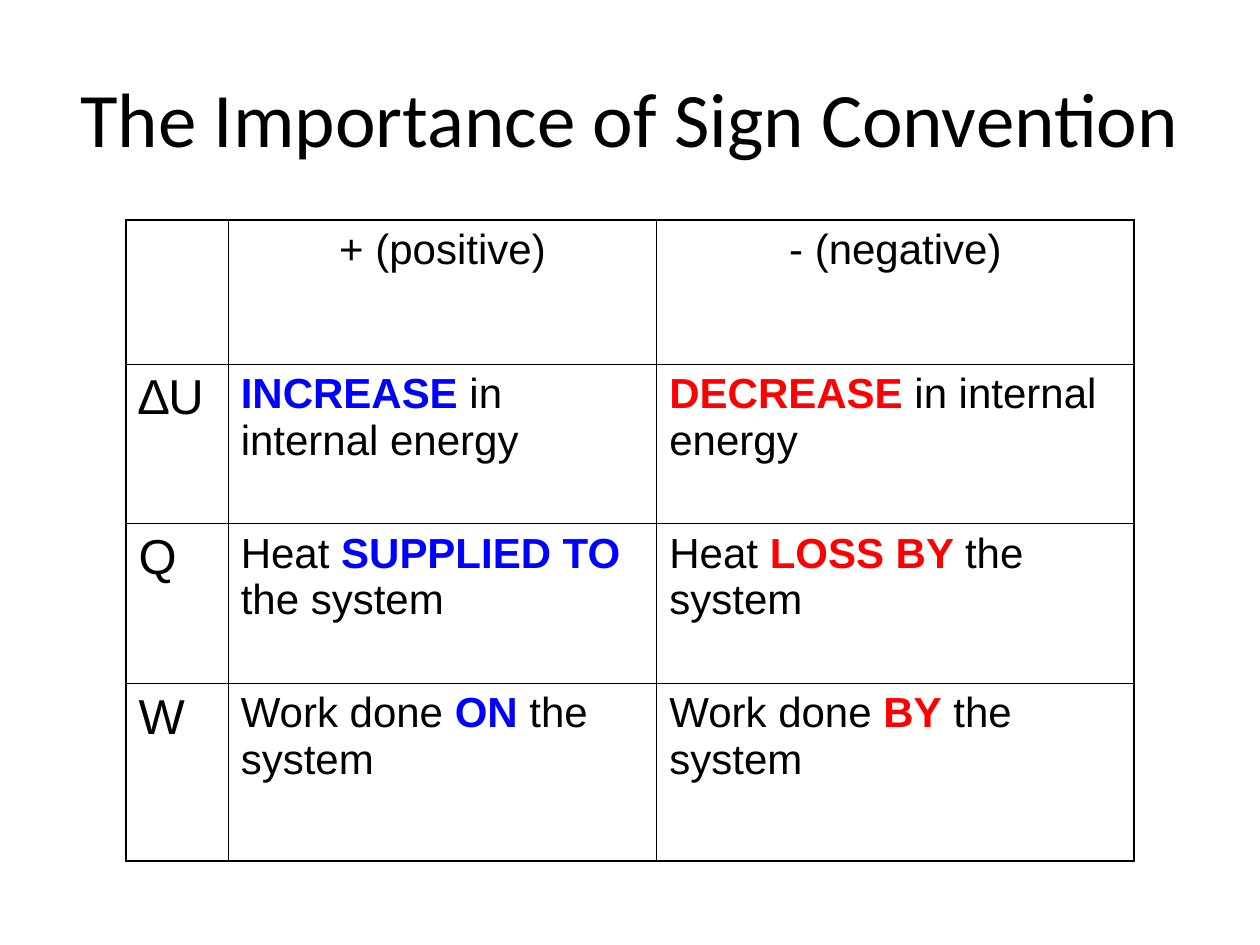
from dataclasses import dataclass

from lxml import etree
from pptx import Presentation
from pptx.dml.color import RGBColor
from pptx.enum import text as t
from pptx.oxml import ns
from pptx.util import Cm, Pt


@dataclass(frozen=True)
class Theme:
    ink: str = "000000"
    plus: str = "0000FF"
    minus: str = "FF0000"
    head: str = "Calibri"
    body: str = "Arial"
    title: int = 44
    sign: int = 28
    cell: int = 24
    thin: float = 0.45
    thick: float = 1.08


THEME = Theme()
COLS = (2.06, 8.64, 9.62)
ROWS = (2.9, 3.22, 3.22, 3.58)
HEADS = ("+ (positive)", "- (negative)")
TERMS = (
    ("∆U", ("", "INCREASE", " in internal energy"),
     ("", "DECREASE", " in internal energy")),
    ("Q", ("Heat ", "SUPPLIED TO ", "the system"),
     ("Heat ", "LOSS BY ", "the system")),
    ("W", ("Work done ", "ON", " the system"),
     ("Work done ", "BY", " the system")),
)


def write(para, words, size=THEME.cell, font=THEME.body, color=THEME.ink,
          bold=False, align=t.PP_ALIGN.LEFT):
    para.alignment = align
    run = para.add_run()
    run.text = words
    run.font.size = Pt(size)
    run.font.name = font
    run.font.bold = bold
    run.font.color.rgb = RGBColor.from_string(color)


def add_title(slide, words):
    box = slide.shapes.add_textbox(Cm(1.27), Cm(0.76), Cm(22.86), Cm(3.18))
    frame = box.text_frame
    frame.word_wrap = True
    frame.vertical_anchor = t.MSO_ANCHOR.MIDDLE
    write(frame.paragraphs[0], words, size=THEME.title, font=THEME.head,
          align=t.PP_ALIGN.CENTER)


def rule(cell, side, width):
    line = etree.SubElement(cell._tc.get_or_add_tcPr(), ns.qn(f"a:ln{side}"),
                            w=str(int(Pt(width))))
    fill = etree.SubElement(line, ns.qn("a:solidFill"))
    etree.SubElement(fill, ns.qn("a:srgbClr"), val=THEME.ink)


def frame_cell(cell, row, col):
    outer = {"L": col == 0, "R": col == len(COLS) - 1,
             "T": row == 0, "B": row == len(ROWS) - 1}
    for side, edge in outer.items():
        rule(cell, side, THEME.thick if edge else THEME.thin)
    cell.fill.background()


def add_grid(slide):
    shape = slide.shapes.add_table(len(ROWS), len(COLS), Cm(2.54), Cm(4.44),
                                   Cm(sum(COLS)), Cm(sum(ROWS)))
    table = shape.table
    table.first_row = table.horz_banding = False
    for col, width in zip(table.columns, COLS):
        col.width = Cm(width)
    for row, height in zip(table.rows, ROWS):
        row.height = Cm(height)
    for row in range(len(ROWS)):
        for col in range(len(COLS)):
            frame_cell(table.cell(row, col), row, col)
    return table


def fill_grid(table):
    def para(row, col):
        return table.cell(row, col).text_frame.paragraphs[0]

    for col, words in enumerate(HEADS, 1):
        write(para(0, col), words, align=t.PP_ALIGN.CENTER)
    for row, (sign, *cases) in enumerate(TERMS, 1):
        write(para(row, 0), sign, size=THEME.sign)
        tints = (THEME.plus, THEME.minus)
        for col, (case, tint) in enumerate(zip(cases, tints), 1):
            lead, key, tail = case
            if lead:
                write(para(row, col), lead)
            write(para(row, col), key, color=tint, bold=True)
            write(para(row, col), tail)


def main():
    deck = Presentation()
    deck.slide_width, deck.slide_height = Cm(25.4), Cm(19.05)
    slide = deck.slides.add_slide(deck.slide_layouts[6])
    fill_grid(add_grid(slide))
    add_title(slide, "The Importance of Sign Convention")
    deck.save("out.pptx")


if __name__ == "__main__":
    main()
